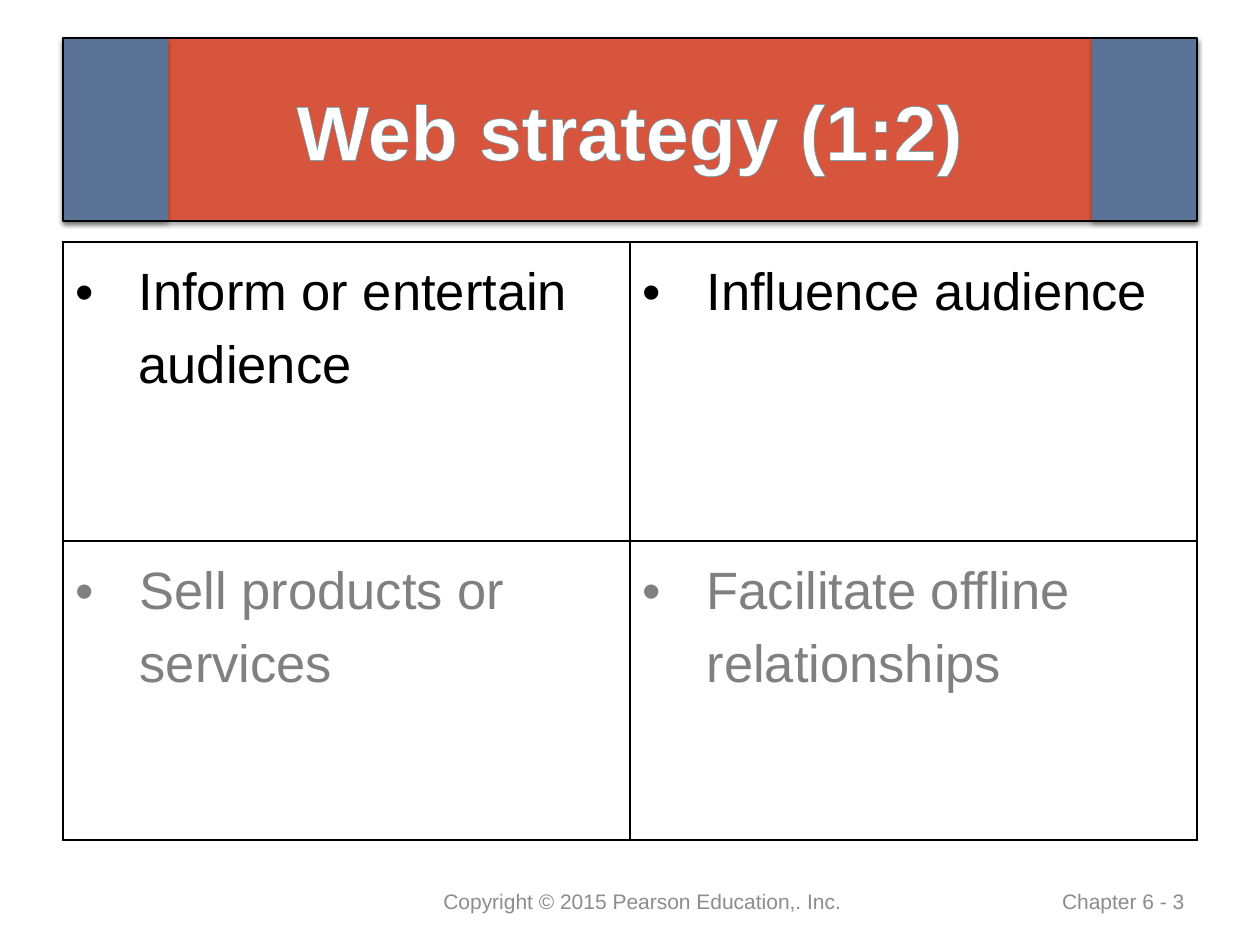
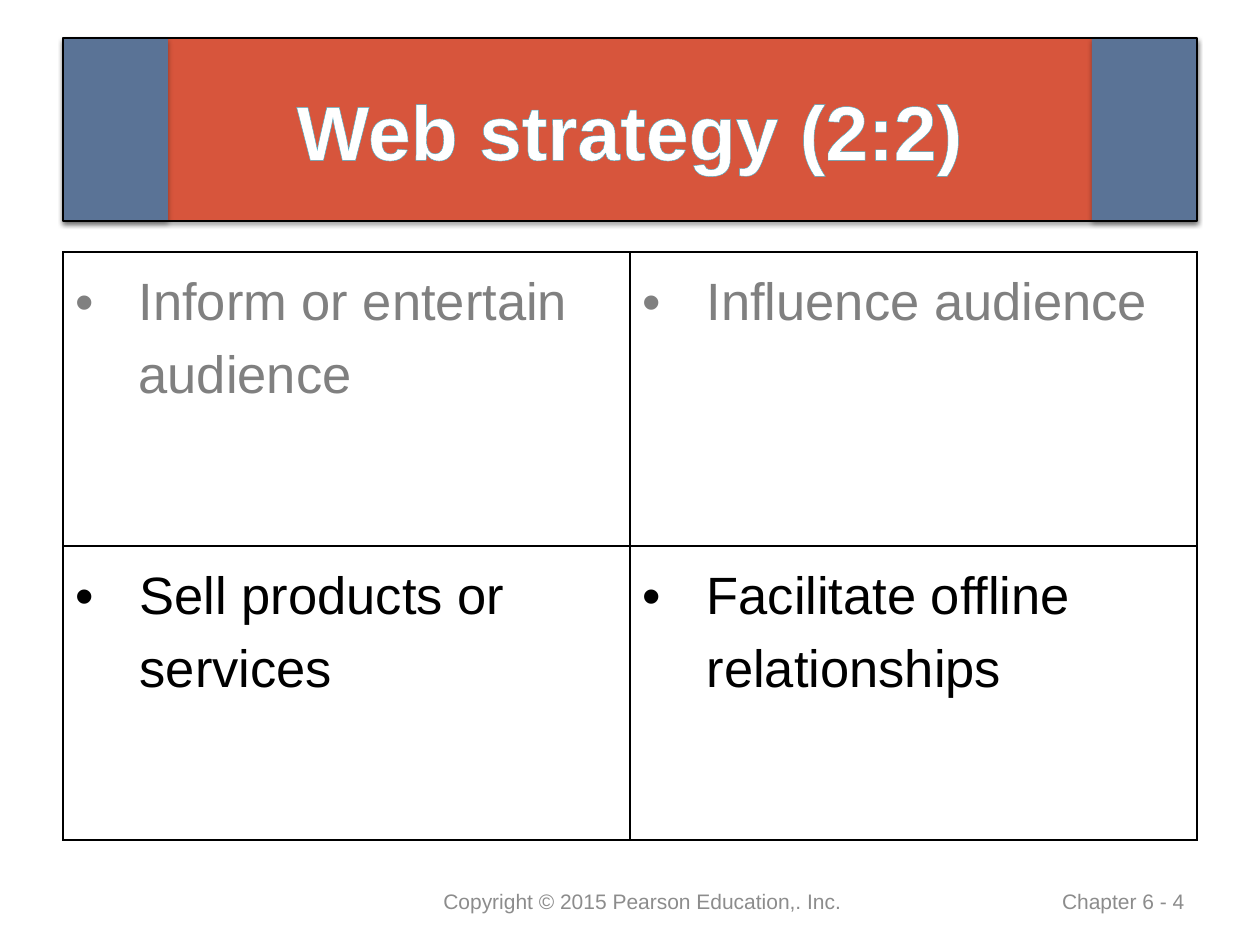
from lxml.etree import SubElement
from pptx import Presentation
from pptx.dml.color import RGBColor
from pptx.enum.shapes import MSO_SHAPE
from pptx.enum.text import MSO_ANCHOR, PP_ALIGN
from pptx.oxml import parse_xml
from pptx.oxml.ns import nsdecls, qn
from pptx.util import Emu, Pt

EMU_PER_PX = 914400 / 126
FONT = "Arial"
WHITE = RGBColor(0xFF, 0xFF, 0xFF)
BLACK = RGBColor(0x00, 0x00, 0x00)
MUTED = RGBColor(0x80, 0x80, 0x80)
FOOTER_GRAY = RGBColor(0x8C, 0x8C, 0x8C)
BAND_RED = RGBColor(0xD7, 0x55, 0x3C)
BAND_BLUE = RGBColor(0x5A, 0x73, 0x96)
TITLE_EDGE = RGBColor(0x4B, 0xAC, 0xC6)

LEFT, WIDTH = 63, 1134
BAND_TOP, BAND_HEIGHT, SIDE_WIDTH = 38, 183, 105
TABLE_BOTTOM = 840
FOOTER_TOP, FOOTER_HEIGHT = 876, 50

STRATEGIES = [
    ["Inform or entertain audience", "Influence audience"],
    ["Sell products or services", "Facilitate offline relationships"],
]
INDENTS = [[63, 64], [64, 64]]
SLIDES = [
    ("Web strategy (1:2)", "Chapter 6 - 3", 242, 0),
    ("Web strategy (2:2)", "Chapter 6 - 4", 252, 1),
]
SHADOW = (
    f'<a:outerShdw {nsdecls("a")} blurRad="40000" dist="23000" dir="5400000" rotWithShape="0">'
    '<a:srgbClr val="000000"><a:alpha val="35000"/></a:srgbClr></a:outerShdw>'
)


def px(*lengths):
    return [Emu(round(length * EMU_PER_PX)) for length in lengths]


def write(frame, text, size, color, bold=False, align=PP_ALIGN.LEFT,
          anchor=MSO_ANCHOR.MIDDLE, edge=None, indent=0, line_spacing=None):
    frame.word_wrap = True
    frame.vertical_anchor = anchor
    paragraph = frame.paragraphs[0]
    paragraph.alignment = align
    if line_spacing:
        paragraph.line_spacing = line_spacing
    if indent:
        hang = px(indent)[0]
        properties = paragraph._p.get_or_add_pPr()
        properties.set("marL", str(hang))
        properties.set("indent", str(-hang))
        SubElement(properties, qn("a:buFont"), typeface=FONT)
        SubElement(properties, qn("a:buChar"), char="•")
    run = paragraph.add_run()
    run.text = text
    run.font.name = FONT
    run.font.size = Pt(size)
    run.font.bold = bold
    run.font.color.rgb = color
    if edge:
        run._r.get_or_add_rPr().insert(0, parse_xml(
            f'<a:ln {nsdecls("a")} w="10160"><a:solidFill>'
            f'<a:srgbClr val="{edge}"/></a:solidFill></a:ln>'))


presentation = Presentation()
presentation.slide_width, presentation.slide_height = px(1260, 945)

for title, page, table_top, active_row in SLIDES:
    slide = presentation.slides.add_slide(presentation.slide_layouts[6])
    slide.background.fill.solid()
    slide.background.fill.fore_color.rgb = WHITE

    table_height = TABLE_BOTTOM - table_top
    table = slide.shapes.add_table(2, 2, *px(LEFT, table_top, WIDTH, table_height)).table
    table.first_row = False
    table.horz_banding = False
    for row, strategies in enumerate(STRATEGIES):
        table.rows[row].height = px(table_height / 2)[0]
        for column, strategy in enumerate(strategies):
            cell = table.cell(row, column)
            write(cell.text_frame, strategy, 30, BLACK if row == active_row else MUTED,
                  anchor=MSO_ANCHOR.TOP, indent=INDENTS[row][column], line_spacing=1.25)
            cell_properties = cell._tc.get_or_add_tcPr()
            for side in ("lnL", "lnR", "lnT", "lnB"):
                cell_properties.append(parse_xml(
                    f'<a:{side} {nsdecls("a")} w="12700"><a:solidFill>'
                    f'<a:srgbClr val="{BLACK}"/></a:solidFill></a:{side}>'))
            cell.fill.background()

    bands = [
        (LEFT, WIDTH, BAND_RED),
        (LEFT, SIDE_WIDTH, BAND_BLUE),
        (LEFT + WIDTH - SIDE_WIDTH, SIDE_WIDTH, BAND_BLUE),
        (LEFT, WIDTH, None),
    ]
    for left, width, color in bands:
        band = slide.shapes.add_shape(
            MSO_SHAPE.RECTANGLE, *px(left, BAND_TOP, width, BAND_HEIGHT))
        band.shadow.inherit = False
        if color is None:
            band.fill.background()
            band.line.color.rgb = BLACK
            band.line.width = Pt(1)
            continue
        band.fill.solid()
        band.fill.fore_color.rgb = color
        band.line.fill.background()
        band._element.spPr.find(qn("a:effectLst")).append(parse_xml(SHADOW))
        if color == BAND_RED:
            write(band.text_frame, title, 44, WHITE, bold=True,
                  align=PP_ALIGN.CENTER, edge=TITLE_EDGE)

    footers = [
        (903, 294, page, PP_ALIGN.RIGHT),
        (431, 431, "Copyright © 2015 Pearson Education,. Inc.", PP_ALIGN.LEFT),
    ]
    for left, width, text, align in footers:
        footer = slide.shapes.add_textbox(*px(left, FOOTER_TOP, width, FOOTER_HEIGHT))
        write(footer.text_frame, text, 12, FOOTER_GRAY, align=align)

presentation.save("out.pptx")
